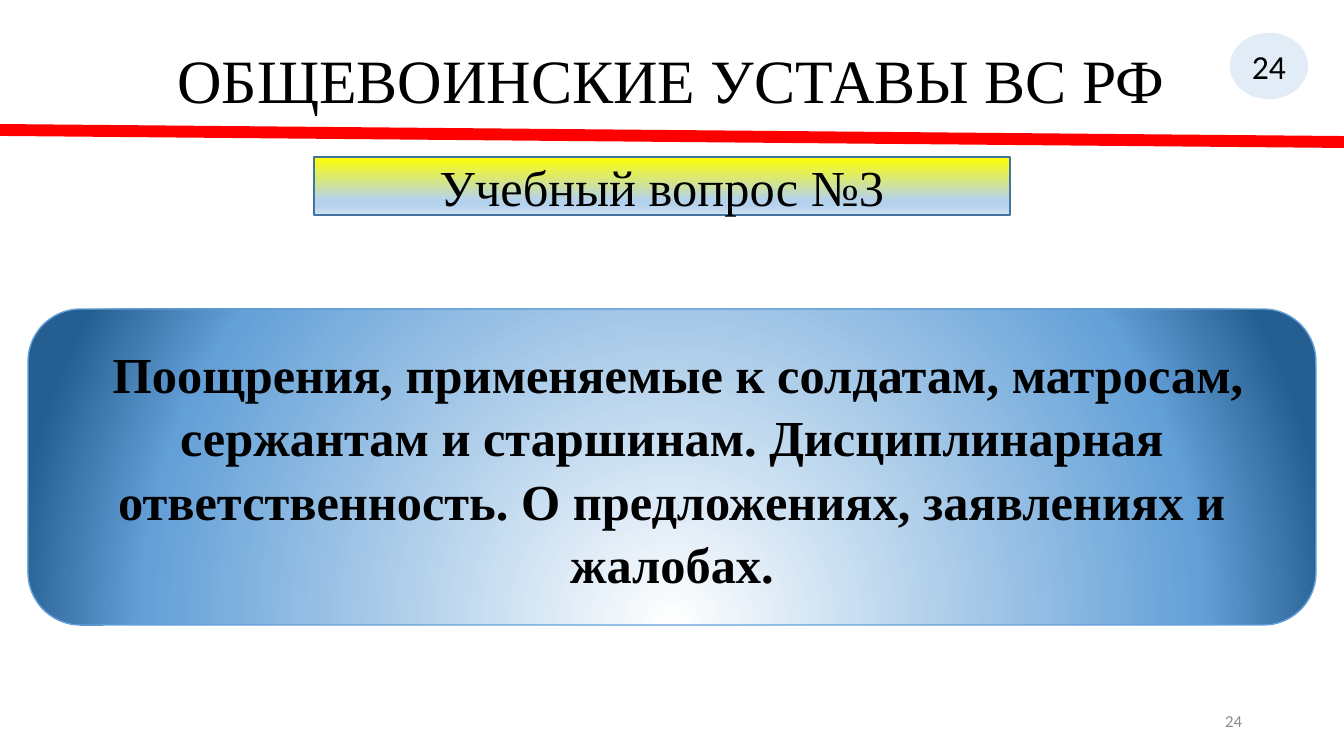
import pptx
import pptx.util
import pptx.dml.color
import pptx.enum.shapes
import pptx.enum.text
import pptx.oxml
import pptx.oxml.ns
import lxml.etree

PX = 914400 / 100.8
SERIF = "Times New Roman"
SANS = "Calibri"
KIND = pptx.enum.shapes.MSO_SHAPE
ALIGN = pptx.enum.text.PP_ALIGN
ANCHOR = pptx.enum.text.MSO_ANCHOR
qn = pptx.oxml.ns.qn

deck = pptx.Presentation()
deck.slide_width = round(1344 * PX)
deck.slide_height = round(756 * PX)
page = deck.slides.add_slide(deck.slide_layouts[6])


def color(value):
    return pptx.dml.color.RGBColor.from_string(value)


def add_text(text, place, kind=None, line=None, font=SERIF, size=36, bold=False, ink="000000",
             align=ALIGN.CENTER, anchor=ANCHOR.MIDDLE, spacing=1.0, top=5):
    frame = [round(length * PX) for length in place]
    if kind is None:
        box = page.shapes.add_textbox(*frame)
    else:
        box = page.shapes.add_shape(kind, *frame)
        box.shadow.inherit = False
        box.line.color.rgb = color(line)
        box.line.width = pptx.util.Pt(1)
    body = box.text_frame
    body.word_wrap = True
    body.vertical_anchor = anchor
    body.margin_top = round(top * PX)
    para = body.paragraphs[0]
    para.alignment = align
    para.line_spacing = spacing
    span = para.add_run()
    span.text = text
    span.font.name = font
    span.font.size = pptx.util.Pt(size)
    span.font.bold = bold
    span.font.color.rgb = color(ink)
    return box


def fill_gradient(box, stops, direction):
    box.fill.gradient()
    gradient = box.fill._xPr.find(qn("a:gradFill"))
    for child in list(gradient):
        gradient.remove(child)
    stop_list = lxml.etree.SubElement(gradient, qn("a:gsLst"))
    for position, value in stops:
        stop = lxml.etree.SubElement(stop_list, qn("a:gs"), pos=str(position * 1000))
        lxml.etree.SubElement(stop, qn("a:srgbClr"), val=value)
    gradient.append(pptx.oxml.parse_xml(direction.format(pptx.oxml.ns.nsdecls("a"))))


add_text("ОБЩЕВОИНСКИЕ УСТАВЫ ВС РФ", (92, 40, 1159, 146), size=44,
         anchor=ANCHOR.TOP, spacing=0.9, top=10)

rule = page.shapes.add_connector(
    pptx.enum.shapes.MSO_CONNECTOR.STRAIGHT,
    0, round(130 * PX), round(1344 * PX), round(142 * PX))
rule.line.color.rgb = color("FF0000")
rule.line.width = pptx.util.Pt(8.5)
lxml.etree.SubElement(rule.line._get_or_add_ln().getparent(), qn("a:effectLst"))

badge = add_text("24", (1229, 32, 80, 68), KIND.OVAL, line="FFFFFF", font=SANS, size=24)
badge.fill.solid()
badge.fill.fore_color.rgb = color("5B9BD5")
tint = badge.fill._xPr.find(qn("a:solidFill"))[0]
lxml.etree.SubElement(tint, qn("a:alpha"), val="18000")

question = add_text("Учебный вопрос №3", (314, 157, 696, 58), KIND.RECTANGLE, line="43739E")
fill_gradient(question, [(0, "FFFF00"), (74, "B5D2EC"), (83, "B5D2EC"), (100, "CEE1F2")],
              '<a:lin {} ang="5400000" scaled="0"/>')

topic = add_text(
    " Поощрения, применяемые к солдатам, матросам, сержантам и старшинам. "
    "Дисциплинарная ответственность. О предложениях, заявлениях и жалобах.",
    (28, 309, 1288, 316), KIND.ROUNDED_RECTANGLE, line="63A0D7", bold=True, spacing=1.05)
fill_gradient(topic, [(0, "FFFFFF"), (80, "63A0D7"), (100, "255E91")],
              '<a:path {} path="circle"><a:fillToRect l="50000" t="130000" '
              'r="50000" b="-30000"/></a:path>')

add_text("24", (950, 701, 302, 40), font=SANS, size=12, ink="8C8C8C", align=ALIGN.RIGHT)

deck.save("out.pptx")
